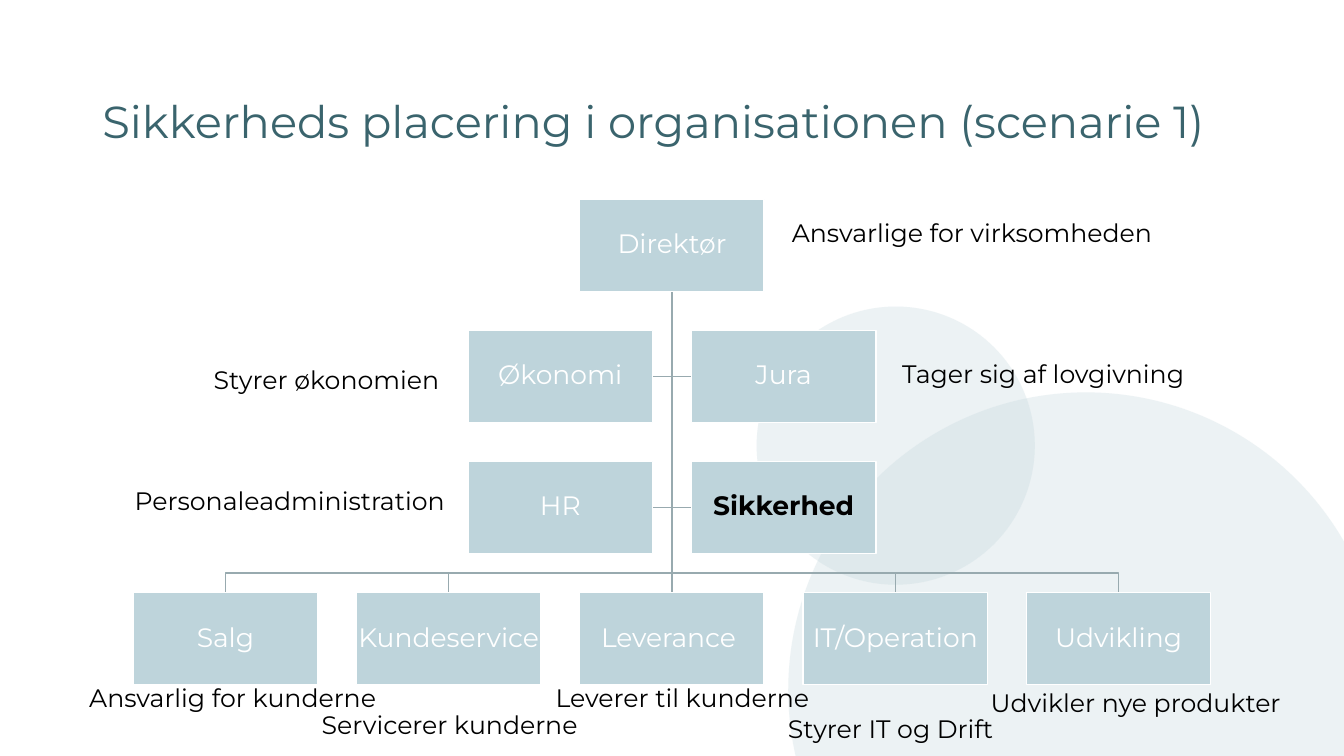
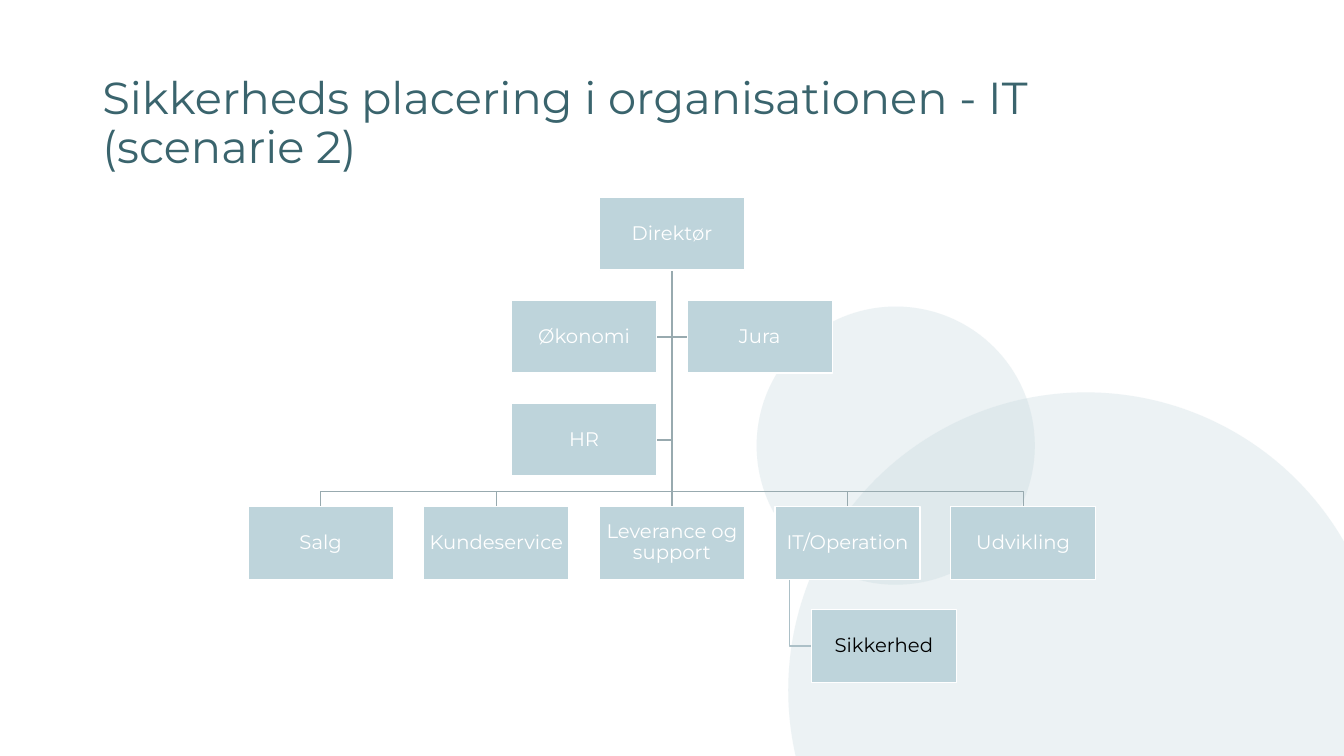
from dataclasses import dataclass

from lxml import etree
from pptx import Presentation
from pptx.dml.color import RGBColor
from pptx.enum.shapes import MSO_CONNECTOR, MSO_SHAPE
from pptx.enum.text import MSO_ANCHOR, PP_ALIGN
from pptx.oxml.ns import qn
from pptx.util import Inches, Pt

RECTANGLE, OVAL = MSO_SHAPE.RECTANGLE, MSO_SHAPE.OVAL
STRAIGHT = MSO_CONNECTOR.STRAIGHT
MIDDLE, CENTER = MSO_ANCHOR.MIDDLE, PP_ALIGN.CENTER


@dataclass(frozen=True)
class Theme:
    font: str = "Montserrat"
    title: RGBColor = RGBColor(0x3A, 0x64, 0x6D)
    box: RGBColor = RGBColor(0xBE, 0xD4, 0xDB)
    line: RGBColor = RGBColor(0x98, 0xAA, 0xAF)
    branch: RGBColor = RGBColor(0xAC, 0xC0, 0xC7)
    white: RGBColor = RGBColor(0xFF, 0xFF, 0xFF)
    black: RGBColor = RGBColor(0x00, 0x00, 0x00)
    title_size: int = 32
    note_size: int = 18
    line_width: float = 1
    circle_alpha: int = 15000
    circle_layers: int = 2


THEME = Theme()

prs = Presentation()
prs.slide_width, prs.slide_height = Inches(13.333), Inches(7.5)
X_PERCENT, Y_PERCENT = prs.slide_width / 100, prs.slide_height / 100
CENTRE_X = prs.slide_width / 2

# Left, top and diameter; left and diameter are percent of width, top of height
CIRCLES = [(58.65, 51.9, 44.3), (56.3, 40.55, 20.7)]
TITLE_AREA = (6.88, 9.7, 86.25, 13.5)

# Proportions of the organisation chart
BOX_ASPECT = 0.5      # box height / box width
COLUMN_PITCH = 1.21   # in box widths
ROW_PITCH = 1.42      # in box heights
ELBOW_INDENT = 0.1    # in box widths
TEAM_INDENT = 0.25    # in box widths
TEAM_SHIFT = TEAM_INDENT / COLUMN_PITCH

# Boxes are (text, column from the centre, row)
SHARED_BOXES = [
    ("Direktør", 0, 0),
    ("Økonomi", -0.5, 1), ("Jura", 0.5, 1),
    ("HR", -0.5, 2),
    ("Salg", -2, 3), ("Kundeservice", -1, 3),
    ("IT/Operation", 1, 3), ("Udvikling", 2, 3),
]
SCENARIOS = [
    dict(
        title="Sikkerheds placering i organisationen (scenarie 1)",
        box_width=13.73, top=26.35, box_size=19, bold_security=True,
        boxes=[("Leverance ", 0, 3), ("Sikkerhed", 0.5, 2)],
        # Text, left, top, width in percent of the slide
        notes=[
            ("Ansvarlige for virksomheden", 58.18, 28.1, 28.7),
            ("Tager sig af lovgivning", 66.38, 46.8, 22.9),
            ("Styrer økonomien", 15.15, 47.55, 19.05),
            ("Personaleadministration", 9.28, 63.5, 25),
            ("Ansvarlig for kunderne", 5.9, 89.6, 23.2),
            ("Servicerer kunderne", 23.2, 93.2, 20.85),
            ("Styrer IT og Drift", 57.88, 93.65, 17),
            ("Udvikler nye produkter", 72.97, 90.3, 23.5),
            ("Leverer til kunderne", 40.6, 89.6, 20.7),
        ],
    ),
    dict(
        title="Sikkerheds placering i organisationen - IT (scenarie 2)",
        box_width=10.8, top=26.13, box_size=14, bold_security=False,
        boxes=[("Leverance og support", 0, 3), ("Sikkerhed", 1 + TEAM_SHIFT, 4)],
        notes=[],
    ),
]


def add_route(slide, points, color=THEME.line):
    """Draw a line through the points: a connector, or an outline if it bends."""
    start, *rest = [(round(x), round(y)) for x, y in points]
    if len(rest) == 1:
        route = slide.shapes.add_connector(STRAIGHT, *start, *rest[0])
        etree.SubElement(route._element.spPr, qn("a:effectLst"))
    else:
        builder = slide.shapes.build_freeform(*start)
        builder.add_line_segments(rest, close=False)
        route = builder.convert_to_shape()
        route.fill.background()
        route.shadow.inherit = False
    route.line.color.rgb = color
    route.line.width = Pt(THEME.line_width)


def write(shape, text, size, color, bold=False):
    """Put one themed paragraph into the shape and return it."""
    paragraph = shape.text_frame.paragraphs[0]
    paragraph.text = text
    paragraph.font.name = THEME.font
    paragraph.font.size = Pt(size)
    paragraph.font.bold = bold
    paragraph.font.color.rgb = color
    return paragraph


for scenario in SCENARIOS:
    slide = prs.slides.add_slide(prs.slide_layouts[6])

    for left, top, diameter in CIRCLES * THEME.circle_layers:
        side = round(diameter * X_PERCENT)
        circle = slide.shapes.add_shape(
            OVAL, round(left * X_PERCENT), round(top * Y_PERCENT), side, side)
        circle.shadow.inherit = False
        circle.line.fill.background()
        circle.fill.solid()
        circle.fill.fore_color.rgb = THEME.box
        tint = circle._element.spPr.find(qn("a:solidFill"))[0]
        etree.SubElement(tint, qn("a:alpha"), val=str(THEME.circle_alpha))

    left, top, width, height = TITLE_AREA
    title = slide.shapes.add_textbox(
        round(left * X_PERCENT), round(top * Y_PERCENT),
        round(width * X_PERCENT), round(height * Y_PERCENT))
    title.text_frame.word_wrap = True
    title.text_frame.vertical_anchor = MIDDLE
    write(title, scenario["title"], THEME.title_size, THEME.title).line_spacing = 0.9

    box_w = scenario["box_width"] * X_PERCENT
    box_h = box_w * BOX_ASPECT
    column_step, row_step = box_w * COLUMN_PITCH, box_h * ROW_PITCH
    chart_top = scenario["top"] * Y_PERCENT
    boxes = SHARED_BOXES + scenario["boxes"]

    # Every route but the team's starts below the director
    director_exit = (CENTRE_X, chart_top + box_h)
    departments_top = chart_top + 3 * row_step
    rail_y = departments_top - (row_step - box_h) / 2

    for text, column, row in boxes:
        x = CENTRE_X + column * column_step
        y = chart_top + row * row_step
        middle_y = y + box_h / 2
        if row in (1, 2):
            inner_edge = x - box_w / 2 if column > 0 else x + box_w / 2
            add_route(slide, [director_exit, (CENTRE_X, middle_y),
                              (inner_edge, middle_y)])
        elif row == 3:
            bends = [(CENTRE_X, rail_y), (x, rail_y)] if column else []
            add_route(slide, [director_exit, *bends, (x, y)])
        elif row == 4:
            left_edge = x - box_w / 2
            elbow_x = left_edge - box_w * (TEAM_INDENT - ELBOW_INDENT)
            add_route(slide, [(elbow_x, departments_top + box_h),
                              (elbow_x, middle_y), (left_edge, middle_y)],
                      THEME.branch)

    for text, column, row in boxes:
        box = slide.shapes.add_shape(
            RECTANGLE, round(CENTRE_X + column * column_step - box_w / 2),
            round(chart_top + row * row_step), round(box_w), round(box_h))
        box.shadow.inherit = False
        box.fill.solid()
        box.fill.fore_color.rgb = THEME.box
        box.line.color.rgb = THEME.white
        box.line.width = Pt(THEME.line_width)
        frame = box.text_frame
        frame.word_wrap = True
        frame.vertical_anchor = MIDDLE
        frame.margin_left = frame.margin_right = 0
        frame.margin_top = frame.margin_bottom = 0
        security = text == "Sikkerhed"
        label = write(box, text, scenario["box_size"],
                      THEME.black if security else THEME.white,
                      security and scenario["bold_security"])
        label.alignment = CENTER
        label.line_spacing = 0.9

    for text, left, top, width in scenario["notes"]:
        note = slide.shapes.add_textbox(
            round(left * X_PERCENT), round(top * Y_PERCENT),
            round(width * X_PERCENT), round(5.33 * Y_PERCENT))
        note.text_frame.word_wrap = False
        write(note, text, THEME.note_size, THEME.black)

prs.save("out.pptx")
